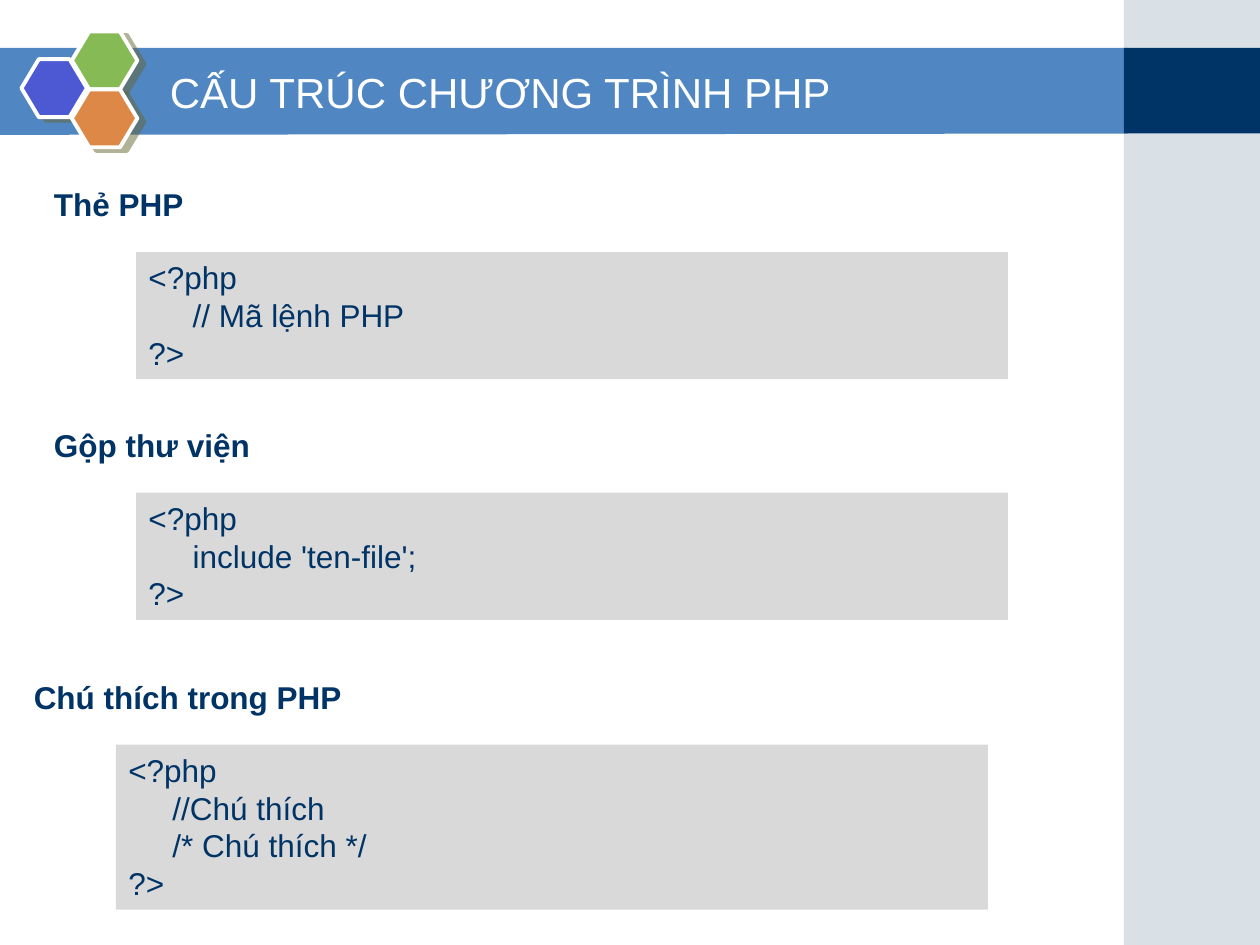
import dataclasses

import pptx
import pptx.dml.color
import pptx.enum.shapes
import pptx.enum.text
import pptx.oxml
import pptx.oxml.ns
import pptx.util
from pptx.util import Inches

SHAPE = pptx.enum.shapes.MSO_SHAPE
ANCHOR = pptx.enum.text.MSO_ANCHOR
ALIGN = pptx.enum.text.PP_ALIGN


@dataclasses.dataclass(frozen=True)
class Theme:
    font: str = "Arial"
    title_size: int = 24
    body_size: int = 18
    white: str = "FFFFFF"
    navy: str = "003366"
    band: str = "5086C2"
    side: str = "A0B5C4"
    code_fill: str = "D9D9D9"
    hexagon_fills: tuple = ("4C59D2", "85BA54", "DE8848")
    shadow: str = "666633"


THEME = Theme()
CODE_INDENT = Inches(0.35)

# heading left, heading top, heading width, heading, code lines
SECTIONS = [
    (0.33, 1.42, 1.24, "Thẻ PHP", ["<?php", "\t// Mã lệnh PHP", "?>"]),
    (0.33, 3.33, 1.77, "Gộp thư viện", ["<?php", "\tinclude 'ten-file';", "?>"]),
    (0.17, 5.33, 2.67, "Chú thích trong PHP",
     ["<?php", "\t//Chú thích", "\t/* Chú thích */", "?>"]),
]


def rgb(value):
    return pptx.dml.color.RGBColor.from_string(value)


def paint(shape, color):
    shape.shadow.inherit = False
    shape.fill.solid()
    shape.fill.fore_color.rgb = rgb(color)
    shape.line.fill.background()


def add_block(slide, kind, left, top, width, height, color):
    block = slide.shapes.add_shape(
        kind, Inches(left), Inches(top), Inches(width), Inches(height))
    paint(block, color)
    return block


def style(paragraph, size, color, bold=False):
    paragraph.alignment = ALIGN.LEFT
    paragraph.font.name = THEME.font
    paragraph.font.size = pptx.util.Pt(size)
    paragraph.font.bold = bold
    paragraph.font.color.rgb = rgb(color)


def add_label(slide, left, top, width, height, text, size, color, bold=False):
    label = slide.shapes.add_textbox(
        Inches(left), Inches(top), Inches(width), Inches(height))
    label.text_frame.text = text
    style(label.text_frame.paragraphs[0], size, color, bold)
    return label.text_frame


def add_hexagon_shadow(hexagon):
    effects = hexagon._element.spPr.find(pptx.oxml.ns.qn("a:effectLst"))
    effects.append(pptx.oxml.parse_xml(
        f'<a:outerShdw {pptx.oxml.ns.nsdecls("a")} blurRad="0" '
        f'dist="{pptx.util.Pt(4.5)}" dir="{27 * 60000}" algn="ctr" rotWithShape="0">'
        f'<a:srgbClr val="{THEME.shadow}"><a:alpha val="50000"/></a:srgbClr>'
        '</a:outerShdw>'))


def add_hexagons(slide, left, top):
    width, height = 0.52, 0.46
    offsets = [(0, 0.22), (0.4, 0), (0.4, height)]
    for (dx, dy), color in zip(offsets, THEME.hexagon_fills):
        hexagon = add_block(
            slide, SHAPE.HEXAGON, left + dx, top + dy, width, height, color)
        hexagon.adjustments[0] = 0.3
        hexagon.line.color.rgb = rgb(THEME.white)
        hexagon.line.width = pptx.util.Pt(2.25)
        add_hexagon_shadow(hexagon)


def add_header(slide, top, height):
    # Title band, slightly deeper at its left end
    left, right, bottom = -0.01, 8.95, top + height
    builder = slide.shapes.build_freeform(Inches(left), Inches(top))
    builder.add_line_segments(
        [(Inches(x), Inches(y)) for x, y in
         [(right, top), (right, bottom), (left, bottom + 0.01)]], close=True)
    paint(builder.convert_to_shape(), THEME.band)

    # Side strip and its dark crossing
    strip_left, strip_width = 8.92, 1.08
    strip = add_block(
        slide, SHAPE.RECTANGLE, strip_left, 0, strip_width, 7.5, THEME.side)
    strip_color = strip._element.spPr.find(
        ".//" + pptx.oxml.ns.qn("a:srgbClr"))
    strip_color.append(pptx.oxml.parse_xml(
        f'<a:alpha {pptx.oxml.ns.nsdecls("a")} val="40000"/>'))
    add_block(slide, SHAPE.RECTANGLE, strip_left, top, strip_width, height, THEME.navy)

    add_hexagons(slide, 0.17, top - 0.13)

    # Title
    title = add_label(slide, 1.25, top + 0.04, 8.25, 0.62,
                      "CẤU TRÚC CHƯƠNG TRÌNH PHP", THEME.title_size, THEME.white)
    title.word_wrap = True
    title.vertical_anchor = ANCHOR.MIDDLE


def add_section(slide, left, top, width, heading, lines):
    # Heading
    heading_frame = add_label(slide, left, top, width, 0.4, heading,
                              THEME.body_size, THEME.navy, bold=True)
    heading_frame.word_wrap = False

    # Code panel: 0.3 inch a line plus the insets
    panel = add_block(slide, SHAPE.RECTANGLE, left + 0.75, top + 0.58,
                      6.92, 0.3 * len(lines) + 0.11, THEME.code_fill)
    code = panel.text_frame
    code.word_wrap = True
    code.vertical_anchor = ANCHOR.TOP
    code.text = "\n".join(line.strip() for line in lines)
    for line, paragraph in zip(lines, code.paragraphs):
        style(paragraph, THEME.body_size, THEME.navy)
        if line.startswith("\t"):
            properties = paragraph._p.get_or_add_pPr()
            properties.set("marL", str(CODE_INDENT))
            properties.set("indent", "0")


def main():
    deck = pptx.Presentation()
    deck.slide_width, deck.slide_height = Inches(10), Inches(7.5)
    slide = deck.slides.add_slide(deck.slide_layouts[6])
    add_header(slide, 0.38, 0.68)
    for section in SECTIONS:
        add_section(slide, *section)
    deck.save("out.pptx")


if __name__ == "__main__":
    main()
